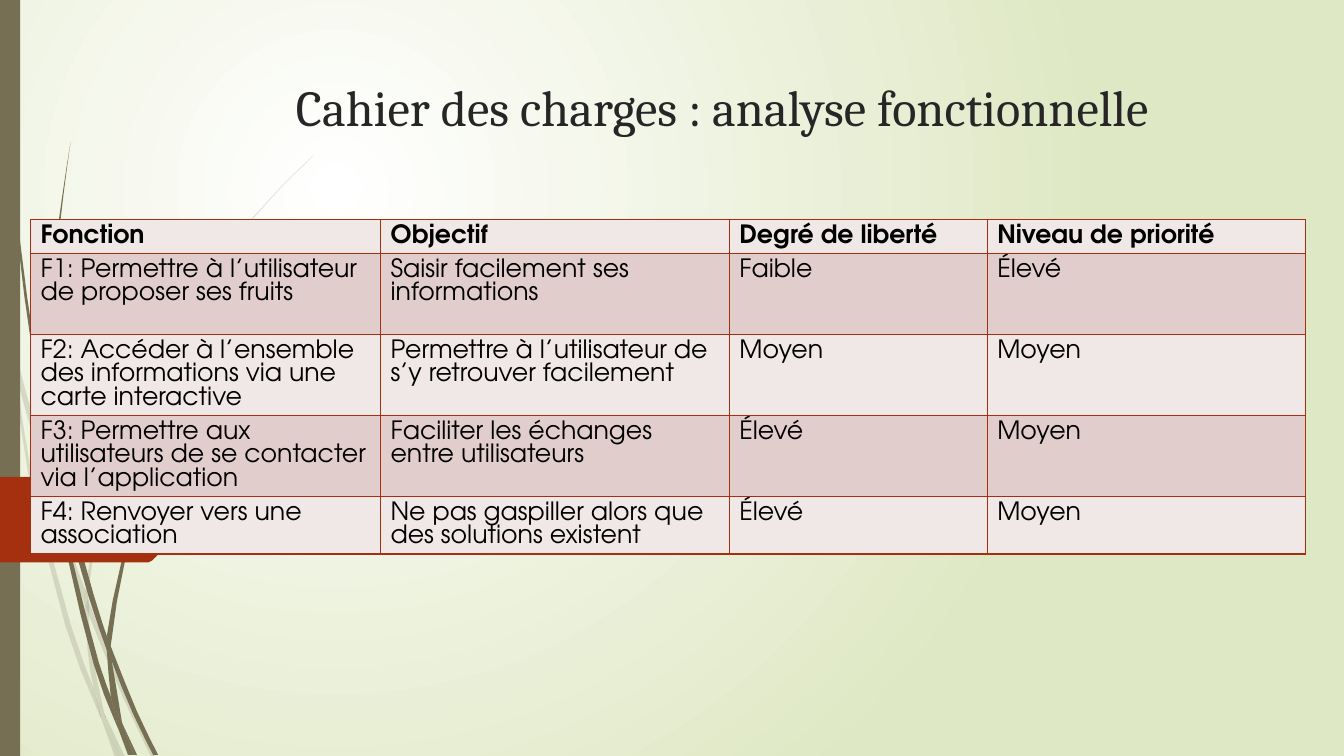
from lxml.etree import SubElement
from pptx import Presentation
from pptx.dml.color import RGBColor
from pptx.enum.shapes import MSO_SHAPE as Preset
from pptx.enum.text import MSO_ANCHOR as Anchor
from pptx.oxml.ns import qn
from pptx.util import Cm, Pt

COLORS = {
    "glow": "FFFFFF", "meadow": "DFE8C4", "stem": "766F54", "accent": "A53010",
    "title": "262626", "text": "000000", "light_row": "F0E8E7", "dark_row": "E1CDCC",
}
GRID = Cm(2.54) / 100  # unit of the outline coordinates below

# Each blade has two edges, both listed from its first tip to its last.
PALE_BLADES = [
    ([(0, 282), (9, 322), (11, 350)], [(0, 299), (10, 344), (11, 350)]),
    ([(14, 345), (62, 520), (85, 586)], [(14, 345), (17, 376), (58, 522), (84, 599)]),
    ([(88, 596), (92, 607), (127, 692), (155, 751)], [(88, 596), (88, 610), (123, 694), (150, 751)]),
    ([(105, 711), (124, 751)], [(105, 711), (119, 751)]),
    ([(11, 350), (17, 376), (31, 469), (70, 619), (93, 683), (101, 714)],
     [(11, 350), (28, 470), (65, 621), (92, 693), (101, 714)]),
    ([(84, 599), (88, 608), (91, 646), (103, 706), (105, 711)],
     [(84, 599), (87, 646), (93, 683), (105, 711)]),
    ([(312, 153), (289, 175), (268, 197), (228, 244), (158, 348), (107, 461), (85, 584), (85, 586)],
     [(312, 154), (290, 175), (268, 198), (229, 245), (160, 349), (110, 462), (88, 584), (88, 596)]),
    ([(101, 714), (119, 751)], [(101, 714), (114, 751)]),
    ([(85, 586), (88, 596), (88, 610)], [(85, 586), (84, 599), (88, 608)]),
    ([(93, 683), (96, 692), (105, 711), (119, 751)], [(93, 683), (99, 707), (101, 714), (119, 751)]),
]
DARK_BLADES = [
    ([(3, 0), (4, 48), (7, 110), (17, 233), (33, 355), (56, 477), (57, 481)],
     [(4, 0), (5, 48), (8, 109), (19, 232), (36, 355), (55, 453), (57, 481)]),
    ([(60, 472), (93, 590), (106, 631)], [(60, 472), (64, 505), (88, 592), (106, 645)]),
    ([(110, 641), (113, 649), (136, 706), (157, 749)], [(110, 641), (111, 656), (132, 708), (152, 749)]),
    ([(57, 477), (64, 505), (72, 556), (98, 657), (110, 691), (117, 722)],
     [(57, 477), (68, 557), (93, 659), (111, 708), (117, 722)]),
    ([(70, 141), (62, 193), (56, 245), (52, 349), (55, 449), (60, 472)],
     [(70, 141), (63, 193), (58, 245), (54, 349), (58, 453), (60, 472)]),
    ([(122, 719), (136, 749)], [(122, 719), (133, 749)]),
    ([(55, 449), (60, 472), (64, 505)], [(55, 449), (55, 453), (57, 477), (64, 505)]),
    ([(260, 344), (245, 358), (231, 373), (204, 405), (156, 474), (122, 551), (106, 631)],
     [(261, 344), (245, 359), (231, 374), (205, 406), (158, 476), (125, 552), (111, 633), (110, 641)]),
    ([(117, 722), (131, 749)], [(117, 722), (127, 749)]),
    ([(106, 645), (109, 651), (111, 656), (121, 716), (122, 719)],
     [(106, 645), (110, 691), (116, 706), (122, 719)]),
    ([(106, 631), (110, 641), (111, 656)], [(106, 631), (106, 645), (109, 651), (111, 656)]),
    ([(110, 691), (116, 706), (122, 719), (133, 749)], [(110, 691), (116, 717), (117, 722), (130, 749)]),
]
TAB_OUTLINE = [(0, 473), (147, 473), (151, 474), (190, 513), (190, 517), (151, 556), (147, 558), (0, 558)]

ROWS = [
    ["Fonction", "Objectif", "Degré de liberté", "Niveau de priorité"],
    ["F1: Permettre à l’utilisateur de proposer ses fruits",
     "Saisir facilement ses informations", "Faible", "Élevé"],
    ["F2: Accéder à l’ensemble des informations via une carte interactive",
     "Permettre à l’utilisateur de s’y retrouver facilement", "Moyen", "Moyen"],
    ["F3: Permettre aux utilisateurs de se contacter via l’application",
     "Faciliter les échanges entre utilisateurs", "Élevé", "Moyen"],
    ["F4: Renvoyer vers une association",
     "Ne pas gaspiller alors que des solutions existent", "Élevé", "Moyen"],
]
COLUMN_WIDTHS = [8.82, 8.79, 6.5, 8.03]
ROW_HEIGHTS = [0.84, 2.04, 2.04, 2.04, 1.45]


def rgb(name):
    return RGBColor.from_string(COLORS[name])


def paint(shape, color, opacity=100):
    shape.shadow.inherit = False
    shape.fill.solid()
    shape.fill.fore_color.rgb = rgb(color)
    shape.line.fill.background()
    if opacity < 100:
        swatch = shape.fill._xPr.find(f"{qn('a:solidFill')}/{qn('a:srgbClr')}")
        SubElement(swatch, qn("a:alpha"), val=str(opacity * 1000))


def write(frame, text, font="TeX Gyre Adventor", size=18, color="text", bold=False, spacing=None):
    frame.word_wrap = True
    para = frame.paragraphs[0]
    para.line_spacing = spacing
    span = para.add_run()
    span.text = text
    span.font.name = font
    span.font.size = Pt(size)
    span.font.bold = bold
    span.font.color.rgb = rgb(color)


def smooth_edge(points):
    """Return the points with a Catmull-Rom midpoint between each two."""
    if len(points) == 2:
        return points
    ends = [points[0], *points, points[-1]]
    curve = [points[0]]
    for before, start, end, after in zip(ends, ends[1:], ends[2:], ends[3:]):
        middle = tuple((9 * (b + c) - a - d) / 16
                       for a, b, c, d in zip(before, start, end, after))
        curve += [middle, end]
    return curve


def add_outline(shapes, left, top, points):
    corners = [(left + x * GRID, top + y * GRID) for x, y in points]
    builder = shapes.build_freeform(*corners[0])
    builder.add_line_segments(corners[1:], close=True)
    return builder.convert_to_shape()


def add_blades(page, left, top, blades, opacity):
    group = page.shapes.add_group_shape()
    for first, second in blades:
        outline = smooth_edge(first) + smooth_edge(second)[:0:-1]
        paint(add_outline(group.shapes, left, top, outline), "stem", opacity)


def add_background(page):
    fill = page.background.fill
    fill.gradient()
    for stop, color, position in zip(fill.gradient_stops, ("glow", "meadow"), (0, 1)):
        stop.color.rgb = rgb(color)
        stop.position = position
    gradient = page._element.find(f".//{qn('p:bgPr')}/{qn('a:gradFill')}")
    linear = gradient.find(qn("a:lin"))
    if linear is not None:
        gradient.remove(linear)
    circle = SubElement(gradient, qn("a:path"), path="circle")
    SubElement(circle, qn("a:fillToRect"), l="50000", t="50000", r="100000", b="100000")


def add_side_decor(page, left, top, width, height):
    add_blades(page, left, top, PALE_BLADES, 20)
    add_blades(page, left, top, DARK_BLADES, 100)
    paint(page.shapes.add_shape(Preset.RECTANGLE, left, top, width, height), "stem")
    paint(add_outline(page.shapes, left, top, TAB_OUTLINE), "accent")


def add_title(page, left, top, width, height):
    box = page.shapes.add_textbox(left, top, width, height)
    box.text_frame.vertical_anchor = Anchor.BOTTOM
    write(box.text_frame, "Cahier des charges : analyse fonctionnelle",
          font="Cambria", size=36, color="title")


def add_borders(cell):
    for side in "LRTB":
        line = SubElement(cell._tc.get_or_add_tcPr(), qn(f"a:ln{side}"), w=str(Pt(1)))
        fill = SubElement(line, qn("a:solidFill"))
        SubElement(fill, qn("a:srgbClr"), val=COLORS["accent"])


def add_function_table(page, left, top, width, height):
    table = page.shapes.add_table(len(ROWS), len(COLUMN_WIDTHS), left, top, width, height).table
    table.first_row = table.horz_banding = False
    for column, size in zip(table.columns, COLUMN_WIDTHS):
        column.width = Cm(size)
    for i, (row, size) in enumerate(zip(table.rows, ROW_HEIGHTS)):
        row.height = Cm(size)
        for cell, text in zip(row.cells, ROWS[i]):
            add_borders(cell)
            cell.fill.solid()
            cell.fill.fore_color.rgb = rgb("dark_row" if i % 2 else "light_row")
            write(cell.text_frame, text, bold=i == 0, spacing=Pt(16.8))


def main():
    deck = Presentation()
    deck.slide_width, deck.slide_height = Cm(33.87), Cm(19.05)
    page = deck.slides.add_slide(deck.slide_layouts[6])
    add_background(page)
    add_side_decor(page, 0, 0, Cm(0.51), deck.slide_height)
    add_title(page, Cm(7.21), 0, Cm(24.77), Cm(3.56))
    add_function_table(page, Cm(0.77), Cm(5.54), Cm(sum(COLUMN_WIDTHS)), Cm(sum(ROW_HEIGHTS)))
    deck.save("out.pptx")


if __name__ == "__main__":
    main()
